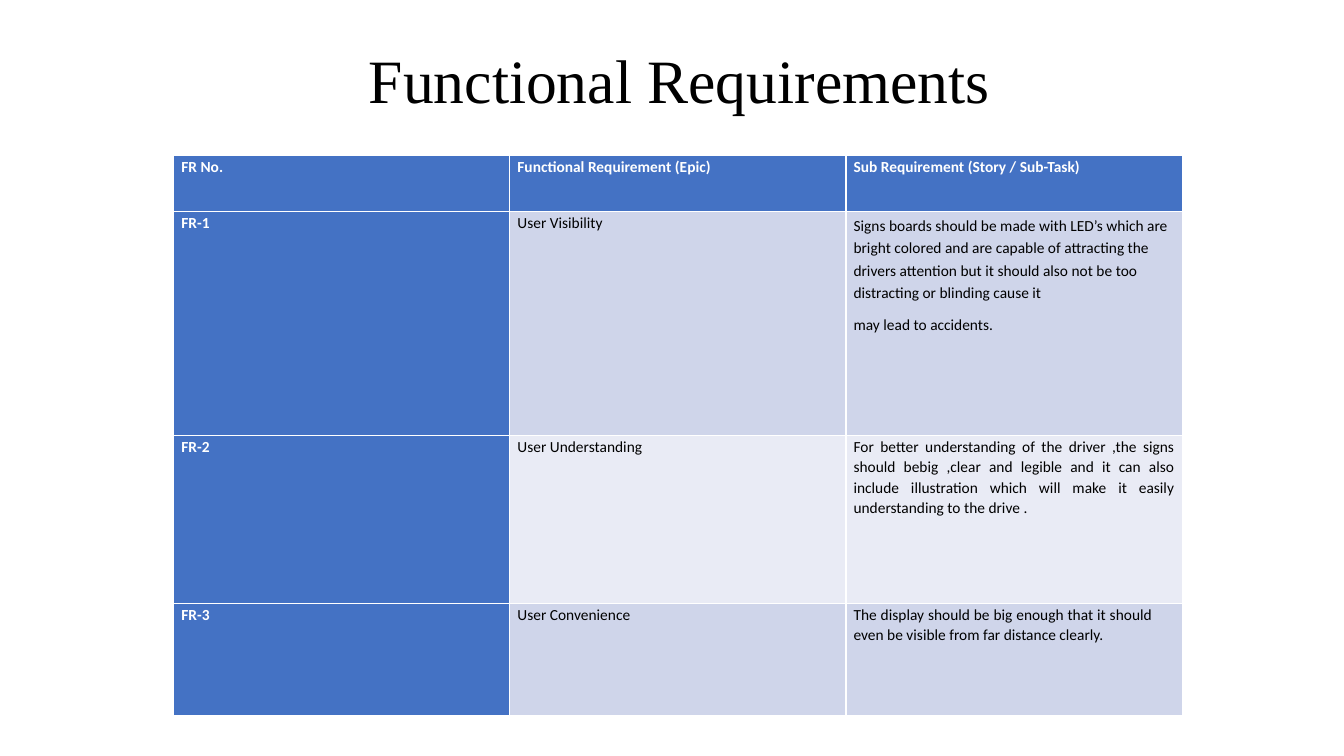
from pptx import Presentation
from pptx.dml.color import RGBColor
from pptx.enum.text import MSO_ANCHOR, PP_ALIGN
from pptx.util import Cm, Pt

TITLE = " Functional Requirements"
ROWS = [
    ("FR No.", "Functional Requirement (Epic)", "Sub Requirement (Story / Sub-Task)"),
    ("FR-1", "User Visibility",
     "Signs boards should be made with LED’s which are bright colored and are "
     "capable of attracting the drivers attention but it should also not be too "
     "distracting or blinding cause it\nmay lead to accidents."),
    ("FR-2", "User Understanding",
     "For better understanding of the driver ,the signs should bebig ,clear and "
     "legible and it can also include illustration which will make it easily "
     "understanding to the drive . "),
    ("FR-3", "User Convenience",
     "The display should be big enough that it should even be visible from far "
     "distance clearly. "),
]
ROW_HEIGHTS = [1.41, 5.64, 4.23, 2.84]
COLUMN_WIDTH = 8.47
ACCENT, BANDS = "4472C4", ("E9EBF5", "CFD5EA")
WHITE, BLACK = "FFFFFF", "000000"


def color(hex_value):
    return RGBColor.from_string(hex_value)


def format_font(paragraph, name, size, hex_value, bold=False):
    for run in paragraph.runs:
        run.font.name = name
        run.font.size = Pt(size)
        run.font.bold = bold
        run.font.color.rgb = color(hex_value)


def fill_cell(cell, text, row, column):
    heading = row == 0 or column == 0
    cell.fill.solid()
    cell.fill.fore_color.rgb = color(ACCENT if heading else BANDS[row % 2])
    cell.margin_left = cell.margin_right = Cm(0.19)
    cell.margin_top, cell.margin_bottom = Cm(0.03), 0
    cell.text_frame.text = text
    for paragraph in cell.text_frame.paragraphs:
        paragraph.line_spacing = 1.07
        paragraph.space_after = Pt(8)
        if column == 2 and row >= 2:
            paragraph.alignment = PP_ALIGN.JUSTIFY
        format_font(paragraph, "Calibri", 11, WHITE if heading else BLACK, heading)


presentation = Presentation()
presentation.slide_width, presentation.slide_height = Cm(33.87), Cm(19.05)
slide = presentation.slides.add_slide(presentation.slide_layouts[5])

# Title
title = slide.shapes.title
title.left, title.top, title.width, title.height = Cm(2.33), Cm(1.01), Cm(29.21), Cm(3.68)
title.text_frame.text = TITLE
title.text_frame.vertical_anchor = MSO_ANCHOR.TOP
title.text_frame.margin_top = Cm(0.25)
heading_paragraph = title.text_frame.paragraphs[0]
heading_paragraph.alignment = PP_ALIGN.CENTER
heading_paragraph.line_spacing = 0.9
format_font(heading_paragraph, "Times New Roman", 44, BLACK)

# Requirements table: the table style draws the white borders
table = slide.shapes.add_table(
    len(ROWS), len(ROWS[0]), Cm(4.38), Cm(3.92),
    Cm(COLUMN_WIDTH * len(ROWS[0])), Cm(sum(ROW_HEIGHTS))).table
table.first_col = True
for table_column in table.columns:
    table_column.width = Cm(COLUMN_WIDTH)
for row, texts in enumerate(ROWS):
    table.rows[row].height = Cm(ROW_HEIGHTS[row])
    for column, text in enumerate(texts):
        fill_cell(table.cell(row, column), text, row, column)

# Looser lines in the first story, a right indent in the last one
table.cell(1, 2).text_frame.paragraphs[0].line_spacing = 1.19
last_paragraph = table.cell(3, 2).text_frame.paragraphs[0]
last_paragraph._p.get_or_add_pPr().set("marR", str(Cm(0.56)))

presentation.save("out.pptx")
